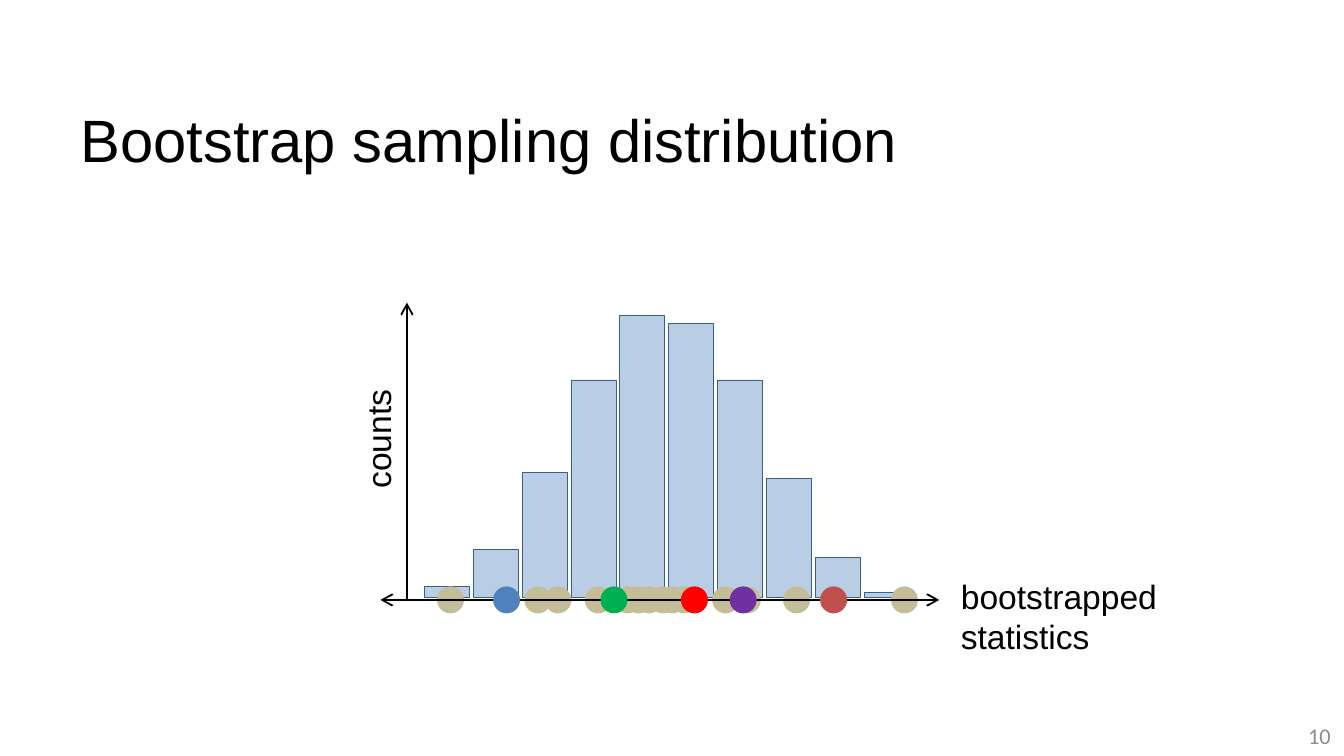
import pptx
import pptx.util
import pptx.dml.color
import pptx.enum.shapes
import pptx.enum.text
import pptx.oxml.ns
from lxml import etree

Cm = pptx.util.Cm
RGBColor = pptx.dml.color.RGBColor
MSO_SHAPE = pptx.enum.shapes.MSO_SHAPE
MSO_ANCHOR = pptx.enum.text.MSO_ANCHOR
PP_ALIGN = pptx.enum.text.PP_ALIGN
qn = pptx.oxml.ns.qn

BLACK = RGBColor(0x00, 0x00, 0x00)
GRAY = RGBColor(0x8C, 0x8C, 0x8C)
BAR_FILL = RGBColor(0xB9, 0xCD, 0xE5)
BAR_LINE = RGBColor(0x3A, 0x5F, 0x8C)
TAN = RGBColor(0xC4, 0xBD, 0x97)
GREEN = RGBColor(0x00, 0xB0, 0x50)
PURPLE = RGBColor(0x70, 0x30, 0xA0)
RED = RGBColor(0xFF, 0x00, 0x00)
BLUE = RGBColor(0x4F, 0x81, 0xBD)
BRICK = RGBColor(0xC0, 0x50, 0x4D)

# Histogram geometry, in centimetres
BAR_HEIGHTS = [0.2, 0.91, 2.36, 4.11, 5.33, 5.18, 4.11, 2.24, 0.76, 0.1]
FIRST_BAR, LAST_BAR = 8.02, 16.33
BAR_PITCH = (LAST_BAR - FIRST_BAR) / (len(BAR_HEIGHTS) - 1)
BAR_WIDTH, BAR_BASE = 0.85, 11.29
AXIS_Y = 11.34
DOT_SIZE = 0.51

# Left edges of the dots, in centimetres
PLAIN_DOTS = [8.26, 9.91, 10.29, 11.05, 11.61, 11.81, 12.01,
              12.27, 12.45, 12.67, 13.46, 13.87, 14.8, 16.84]
COLORED_DOTS = [(11.35, GREEN), (13.79, PURPLE), (12.87, RED),
                (9.32, BLUE), (15.5, BRICK)]


def add_text(s, lines, left, top, width, height, size, font="Arial",
             color=BLACK, align=PP_ALIGN.LEFT, anchor=MSO_ANCHOR.TOP,
             wrap=False):
    sp = s.shapes.add_textbox(Cm(left), Cm(top), Cm(width), Cm(height))
    tf = sp.text_frame
    tf.word_wrap = wrap
    tf.vertical_anchor = anchor
    tf.text = "\n".join(lines)
    for p in tf.paragraphs:
        p.alignment = align
        p.font.size = pptx.util.Pt(size)
        p.font.name = font
        p.font.color.rgb = color
    return sp


def add_filled(s, kind, left, top, width, height, fill, line=None):
    sp = s.shapes.add_shape(kind, Cm(left), Cm(top), Cm(width), Cm(height))
    sp.shadow.inherit = False
    sp.fill.solid()
    sp.fill.fore_color.rgb = fill
    if line is None:
        sp.line.fill.background()
    else:
        sp.line.color.rgb = line
        sp.line.width = pptx.util.Pt(0.25)


def add_dot(s, left, color):
    add_filled(s, MSO_SHAPE.OVAL, left, AXIS_Y - DOT_SIZE / 2,
               DOT_SIZE, DOT_SIZE, color)


def add_axis(s, x1, y1, x2, y2, ends):
    sp = s.shapes.add_connector(pptx.enum.shapes.MSO_CONNECTOR.STRAIGHT,
                                Cm(x1), Cm(y1), Cm(x2), Cm(y2))
    sp.line.color.rgb = BLACK
    sp.line.width = pptx.util.Pt(1)
    ln = sp.line._get_or_add_ln()
    for end in ends:
        etree.SubElement(ln, qn(f"a:{end}"), type="arrow")
    etree.SubElement(sp._element.spPr, qn("a:effectLst"))


def main():
    prs = pptx.Presentation()
    prs.slide_width, prs.slide_height = Cm(25.4), Cm(14.29)
    s = prs.slides.add_slide(prs.slide_layouts[6])

    # Title and slide number
    add_text(s, ["Bootstrap sampling distribution"], 1.27, 1.42, 22.86, 2.39,
             32, anchor=MSO_ANCHOR.MIDDLE, wrap=True)
    add_text(s, ["10"], 19.69, 13.52, 5.71, 0.76, 12, "Calibri", GRAY,
             PP_ALIGN.RIGHT, MSO_ANCHOR.MIDDLE, True)

    # Histogram bars
    for i, height in enumerate(BAR_HEIGHTS):
        add_filled(s, MSO_SHAPE.RECTANGLE, FIRST_BAR + i * BAR_PITCH,
                   BAR_BASE - height, BAR_WIDTH, height, BAR_FILL, BAR_LINE)

    # Vertical axis and axis labels
    add_axis(s, 7.69, AXIS_Y, 7.69, 5.72, ["tailEnd"])
    counts = add_text(s, ["counts"], 5.94, 7.77, 2.41, 1.02, 18)
    counts.rotation = 270
    add_text(s, ["bootstrapped", "statistics"], 17.91, 10.76, 4.24, 1.8, 18)

    # Statistics along the horizontal axis
    for left in PLAIN_DOTS:
        add_dot(s, left, TAN)
    add_axis(s, 7.19, AXIS_Y, 17.75, AXIS_Y, ["headEnd", "tailEnd"])
    for left, color in COLORED_DOTS:
        add_dot(s, left, color)

    prs.save("out.pptx")


if __name__ == "__main__":
    main()
